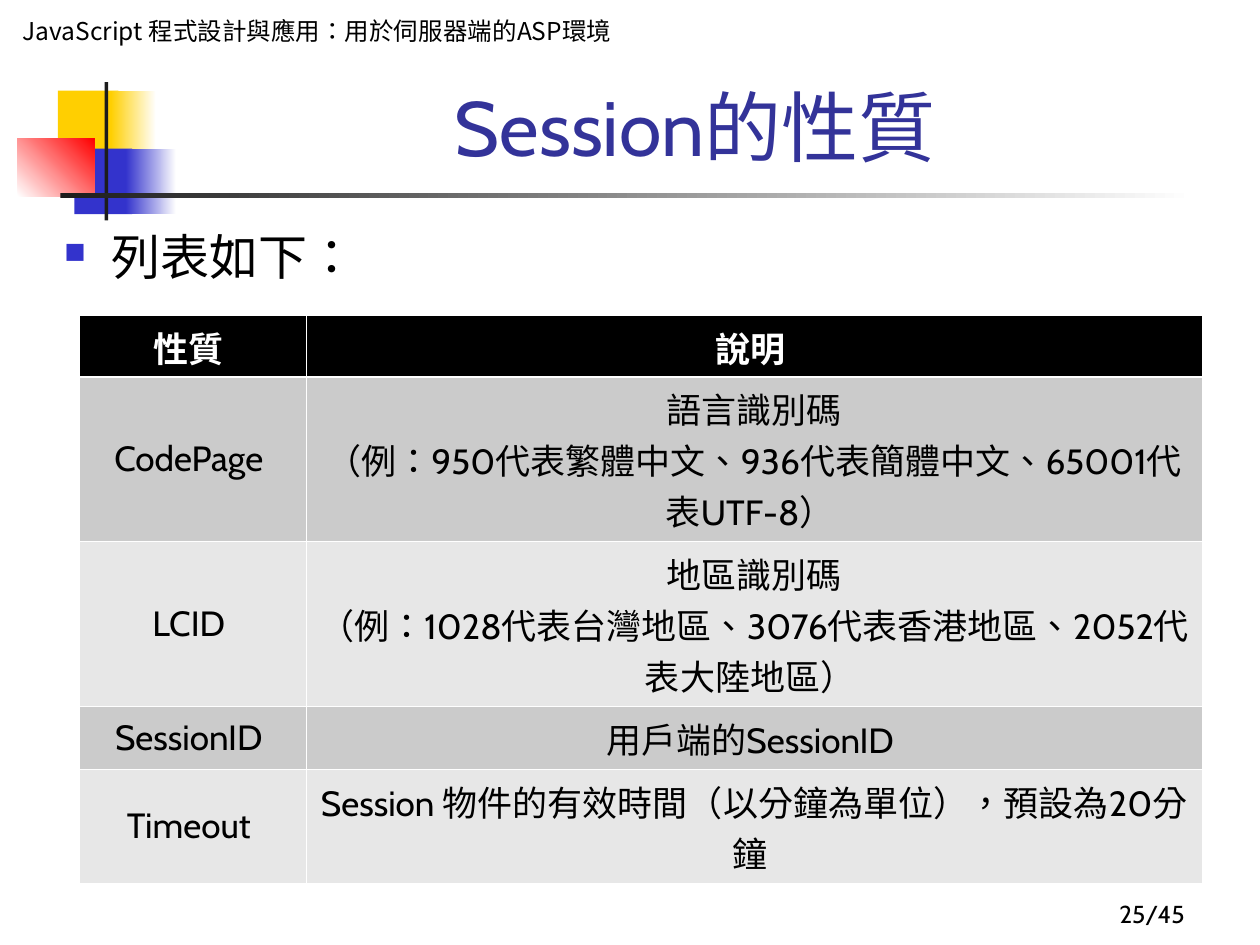
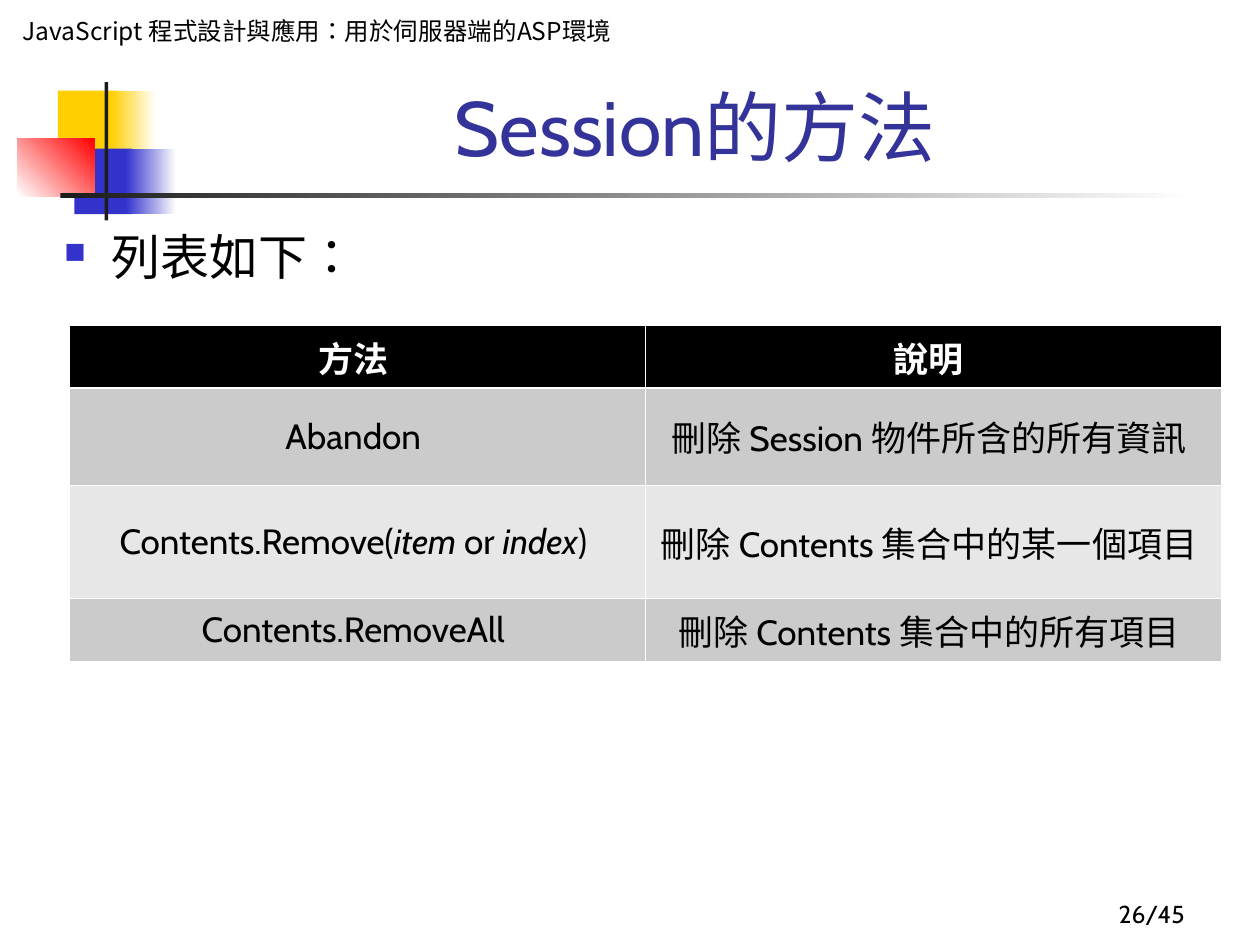
"""Build two slides that list the properties and methods of Session."""
from dataclasses import dataclass

from lxml import etree
from pptx import Presentation
from pptx.dml.color import RGBColor
from pptx.enum import lang, shapes, text
from pptx.oxml import ns
from pptx.util import Inches, Pt

BLACK, WHITE, DARK = "000000", "FFFFFF", "1C1C1C"
GOLD, BLUE, RED, NAVY = "FFCF01", "3333CC", "FF0000", "333399"
BANDS = ("CBCBCB", "E7E7E7")
LATIN, HAN = "Cabin", "Noto Sans CJK SC"
LEFT, MID, RIGHT = text.PP_ALIGN.LEFT, text.PP_ALIGN.CENTER, text.PP_ALIGN.RIGHT
TOP, LOW = text.MSO_ANCHOR.TOP, text.MSO_ANCHOR.BOTTOM
TOTAL = 45


@dataclass(frozen=True)
class Block:
    """A filled box; a second colour makes it a gradient."""
    box: tuple[float, float, float, float]
    tint: str
    fade: str = ""
    angle: float = 0


@dataclass(frozen=True)
class Label:
    """A text box and its style."""
    box: tuple[float, float, float, float]
    size: float
    tint: str = BLACK
    font: str = LATIN
    align: text.PP_ALIGN = LEFT
    anchor: text.MSO_ANCHOR = TOP


@dataclass(frozen=True)
class Grid:
    """A table; asterisks in its cells enclose italics."""
    left: float
    top: float
    cols: tuple[float, ...]
    rows: tuple[float, ...]
    cells: tuple[tuple[str, str], ...]


@dataclass(frozen=True)
class Page:
    """What is particular to one slide."""
    num: int
    title: str
    grid: Grid


MOTIF = (
    Block((0.46, 0.72, 0.48, 0.52), GOLD),
    Block((0.88, 0.72, 0.36, 0.52), GOLD, WHITE),
    Block((0.59, 1.18, 0.46, 0.52), BLUE),
    Block((1, 1.18, 0.4, 0.52), BLUE, WHITE),
    Block((0.14, 1.1, 0.61, 0.46), WHITE, RED, 45),
    Block((0.83, 0.6, 0.03, 1.15), DARK),
    Block((0.48, 1.53, 9, 0.04), DARK, WHITE),
    Block((0.08, 0.08, 4.92, 0.57), WHITE),
)
HEAD = Label((0.08, 0.08, 4.92, 0.57), 14, font=HAN)
TITLE = Label((1.26, 0.58, 8.52, 0.83), 44, NAVY, align=MID, anchor=LOW)
BODY = Label((0.41, 1.75, 9.38, 5.08), 28)
FOOT = Label((7.42, 6.92, 2.08, 0.5), 14, align=RIGHT, anchor=LOW)

PAGES = (
    Page(25, "Session的性質", Grid(
        0.63, 2.5, (1.8, 7.11), (0.49, 1.31, 1.31, 0.5, 0.9), (
            ("性質 ", "說明 "),
            ("CodePage ", "語言識別碼\n（例：950代表繁體中文、936代表簡體中文、65001代表UTF-8） "),
            ("LCID ", "地區識別碼\n（例：1028代表台灣地區、3076代表香港地區、2052代表大陸地區） "),
            ("SessionID ", "用戶端的SessionID "),
            ("Timeout ", "Session 物件的有效時間（以分鐘為單位），預設為20分鐘 "),
        ))),
    Page(26, "Session的方法", Grid(
        0.55, 2.58, (4.57, 4.57), (0.5, 0.77, 0.9, 0.5), (
            ("方法 ", "說明 "),
            ("Abandon ", "刪除 Session 物件所含的所有資訊 "),
            ("Contents.Remove(*item* or *index*) ", "刪除 Contents 集合中的某一個項目 "),
            ("Contents.RemoveAll ", "刪除 Contents 集合中的所有項目 "),
        ))),
)


def rgb(tint: str) -> RGBColor:
    """Turn a hex string into a colour."""
    return RGBColor.from_string(tint)


def node(root, tag: str, **attrs):
    """Append a drawing element."""
    return etree.SubElement(root, ns.qn(f"a:{tag}"), attrs)


def add_run(para, words: str, size: float, tint: str, font: str = LATIN,
            bold: bool = False, ital: bool = False) -> None:
    """Append one styled run."""
    run = para.add_run()
    run.text = words
    face = run.font
    face.size, face.bold, face.italic = Pt(size), bold, ital
    face.color.rgb = rgb(tint)
    face.name = font
    face.language_id = lang.MSO_LANGUAGE_ID.TRADITIONAL_CHINESE
    node(run._r.get_or_add_rPr(), "ea", typeface=HAN)


def draw_block(slide, item: Block) -> None:
    """Draw a plain or fading box."""
    shape = slide.shapes.add_shape(shapes.MSO_SHAPE.RECTANGLE, *map(Inches, item.box))
    shape.shadow.inherit = False
    shape.line.fill.background()
    if item.fade:
        shape.fill.gradient()
        shape.fill.gradient_angle = item.angle
        for stop, tint in zip(shape.fill.gradient_stops, (item.tint, item.fade)):
            stop.color.rgb = rgb(tint)
    else:
        shape.fill.solid()
        shape.fill.fore_color.rgb = rgb(item.tint)


def draw_label(slide, item: Label, words: str):
    """Write a text box and return its paragraph."""
    frame = slide.shapes.add_textbox(*map(Inches, item.box)).text_frame
    frame.word_wrap = True
    frame.vertical_anchor = item.anchor
    para = frame.paragraphs[0]
    para.alignment = item.align
    add_run(para, words, item.size, item.tint, item.font)
    return para


def add_bullet(para) -> None:
    """Give a paragraph a square bullet."""
    props = para._p.get_or_add_pPr()
    hang = Inches(0.38)
    props.set("marL", str(hang))
    props.set("indent", str(-hang))
    node(node(props, "buClr"), "srgbClr", val=BLUE)
    node(props, "buSzPct", val="60000")
    node(props, "buChar", char="■")


def add_edges(cell, row: int) -> None:
    """Rule a cell in white, thicker under the header."""
    props = cell._tc.get_or_add_tcPr()
    thick = {0: "lnB", 1: "lnT"}.get(row)
    for side in ("lnL", "lnR", "lnT", "lnB"):
        width = Pt(1.47 if side == thick else 0.45)
        line = node(props, side, w=str(width))
        node(node(line, "solidFill"), "srgbClr", val=WHITE)


def fill_cell(cell, row: int, words: str) -> None:
    """Style a cell and write its text."""
    add_edges(cell, row)
    cell.fill.solid()
    cell.fill.fore_color.rgb = rgb(BANDS[(row - 1) % 2] if row else BLACK)
    cell.vertical_anchor = text.MSO_ANCHOR.MIDDLE
    frame = cell.text_frame
    for num, line in enumerate(words.split("\n")):
        para = frame.add_paragraph() if num else frame.paragraphs[0]
        para.alignment = MID
        for spot, part in enumerate(line.split("*")):
            add_run(para, part, 20, BLACK if row else WHITE,
                    bold=row == 0, ital=spot % 2 == 1)


def draw_grid(slide, grid: Grid) -> None:
    """Draw a table."""
    box = (grid.left, grid.top, sum(grid.cols), sum(grid.rows))
    table = slide.shapes.add_table(
        len(grid.rows), len(grid.cols), *map(Inches, box)).table
    table.horz_banding = False
    for col, width in zip(table.columns, grid.cols):
        col.width = Inches(width)
    for row, (height, cells) in enumerate(zip(grid.rows, grid.cells)):
        table.rows[row].height = Inches(height)
        for col, words in enumerate(cells):
            fill_cell(table.cell(row, col), row, words)


def draw_page(deck, page: Page) -> None:
    """Add one slide."""
    slide = deck.slides.add_slide(deck.slide_layouts[6])
    for item in MOTIF:
        draw_block(slide, item)
    draw_label(slide, HEAD, "JavaScript 程式設計與應用：用於伺服器端的ASP環境")
    draw_label(slide, TITLE, page.title)
    add_bullet(draw_label(slide, BODY, "列表如下："))
    draw_grid(slide, page.grid)
    draw_label(slide, FOOT, f"{page.num}/{TOTAL}")


def main() -> None:
    """Build and save the deck."""
    deck = Presentation()
    deck.slide_width, deck.slide_height = Inches(10), Inches(7.5)
    for page in PAGES:
        draw_page(deck, page)
    deck.save("out.pptx")


if __name__ == "__main__":
    main()
